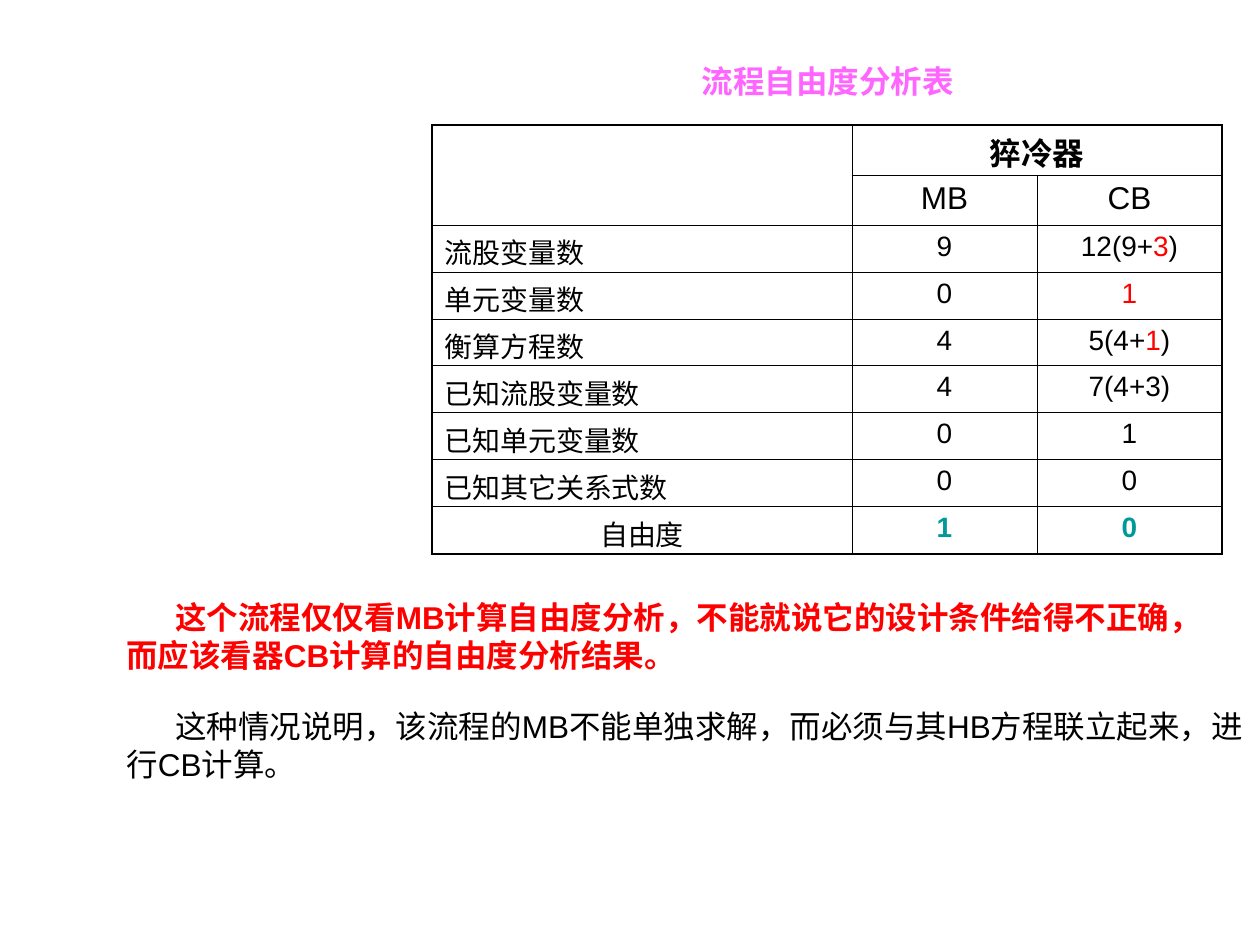
from lxml.etree import SubElement
from pptx import Presentation
from pptx.dml.color import RGBColor
from pptx.enum.text import MSO_ANCHOR, MSO_AUTO_SIZE, PP_ALIGN
from pptx.oxml import parse_xml
from pptx.oxml.ns import nsdecls, qn
from pptx.util import Inches, Pt

BLACK = RGBColor(0x00, 0x00, 0x00)
RED = RGBColor(0xFF, 0x00, 0x00)
TEAL = RGBColor(0x00, 0x99, 0x99)
PINK = RGBColor(0xFF, 0x66, 0xFF)
SCALE = 914400 / 126
NO_STYLE = "{2D5ABB26-0587-4C30-8999-92F81FD0307C}"
THIN, THICK = Pt(0.45), Pt(1.08)


def px(length):
    return int(length * SCALE)


def add_run(paragraph, text, size, color=BLACK, bold=False):
    run = paragraph.add_run()
    run.text = text
    run.font.name = "Arial"
    run.font.size = Pt(size)
    run.font.bold = bold
    run.font.color.rgb = color


presentation = Presentation()
presentation.slide_width = Inches(10)
presentation.slide_height = Inches(7.5)
slide = presentation.slides.add_slide(presentation.slide_layouts[5])

title = slide.shapes.title
title.left, title.top, title.width, title.height = px(689), px(56), px(318), px(50)
title.text_frame.auto_size = MSO_AUTO_SIZE.NONE
title.text_frame.vertical_anchor = MSO_ANCHOR.TOP
title_paragraph = title.text_frame.paragraphs[0]
title_paragraph.alignment = PP_ALIGN.LEFT
add_run(title_paragraph, "流程自由度分析表", 18, PINK, True)

rows = [
    ["", "猝冷器", ""],
    ["", "MB", "CB"],
    ["流股变量数", "9", [("12(9+", BLACK), ("3", RED), (")", BLACK)]],
    ["单元变量数", "0", [("1", RED)]],
    ["衡算方程数", "4", [("5(4+", BLACK), ("1", RED), (")", BLACK)]],
    ["已知流股变量数", "4", "7(4+3)"],
    ["已知单元变量数", "0", "1"],
    ["已知其它关系式数", "0", "0"],
    ["自由度", [("1", TEAL)], [("0", TEAL)]],
]
column_widths = [420, 185, 185]
row_heights = [50] * 2 + [47] * 7
last_row, last_column = len(rows) - 1, len(column_widths) - 1

table_frame = slide.shapes.add_table(
    len(rows), len(column_widths), px(432), px(125), px(sum(column_widths)), px(sum(row_heights))
)
table = table_frame.table
table.first_row = False
table.horz_banding = False
table_frame._element.find(".//" + qn("a:tableStyleId")).text = NO_STYLE
for column, width in zip(table.columns, column_widths):
    column.width = px(width)
for row, height in zip(table.rows, row_heights):
    row.height = px(height)
table.cell(0, 0).merge(table.cell(1, 0))
table.cell(0, 1).merge(table.cell(0, 2))

for row_index, values in enumerate(rows):
    for column_index, value in enumerate(values):
        cell = table.cell(row_index, column_index)
        cell.fill.background()
        cell.margin_top = px(4 if row_index == 0 else 6)
        cell.margin_bottom = 0
        if cell.is_spanned:
            continue
        paragraph = cell.text_frame.paragraphs[0]
        is_label = column_index == 0 and row_index < last_row
        paragraph.alignment = PP_ALIGN.LEFT if is_label else PP_ALIGN.CENTER
        pieces = [(value, BLACK)] if isinstance(value, str) else value
        for text, color in pieces:
            if text:
                bold = row_index == 0 or color == TEAL
                add_run(paragraph, text, 18 if row_index < 2 else 16, color, bold)
        right_column = column_index + cell.span_width - 1 if cell.is_merge_origin else column_index
        outer_edges = {
            "lnL": column_index == 0,
            "lnR": right_column == last_column,
            "lnT": row_index == 0,
            "lnB": row_index == last_row,
        }
        properties = cell._tc.get_or_add_tcPr()
        for position, (edge, is_outer) in enumerate(outer_edges.items()):
            line = parse_xml(f'<a:{edge} {nsdecls("a")} w="{THICK if is_outer else THIN}"/>')
            fill = SubElement(line, qn("a:solidFill"))
            SubElement(fill, qn("a:srgbClr")).set("val", str(BLACK))
            properties.insert(position, line)

notes = [
    (592, 1121, "这个流程仅仅看MB计算自由度分析，不能就说它的设计条件给得不正确，而应该看器CB计算的自由度分析结果。", RED, True),
    (701, 1146, "这种情况说明，该流程的MB不能单独求解，而必须与其HB方程联立起来，进行CB计算。", BLACK, False),
]
for top, width, text, color, bold in notes:
    text_box = slide.shapes.add_textbox(px(114), px(top), px(width), px(88))
    text_box.text_frame.word_wrap = True
    paragraph = text_box.text_frame.paragraphs[0]
    paragraph._p.get_or_add_pPr().set("indent", str(px(49)))
    add_run(paragraph, text, 18, color, bold)

presentation.save("out.pptx")
